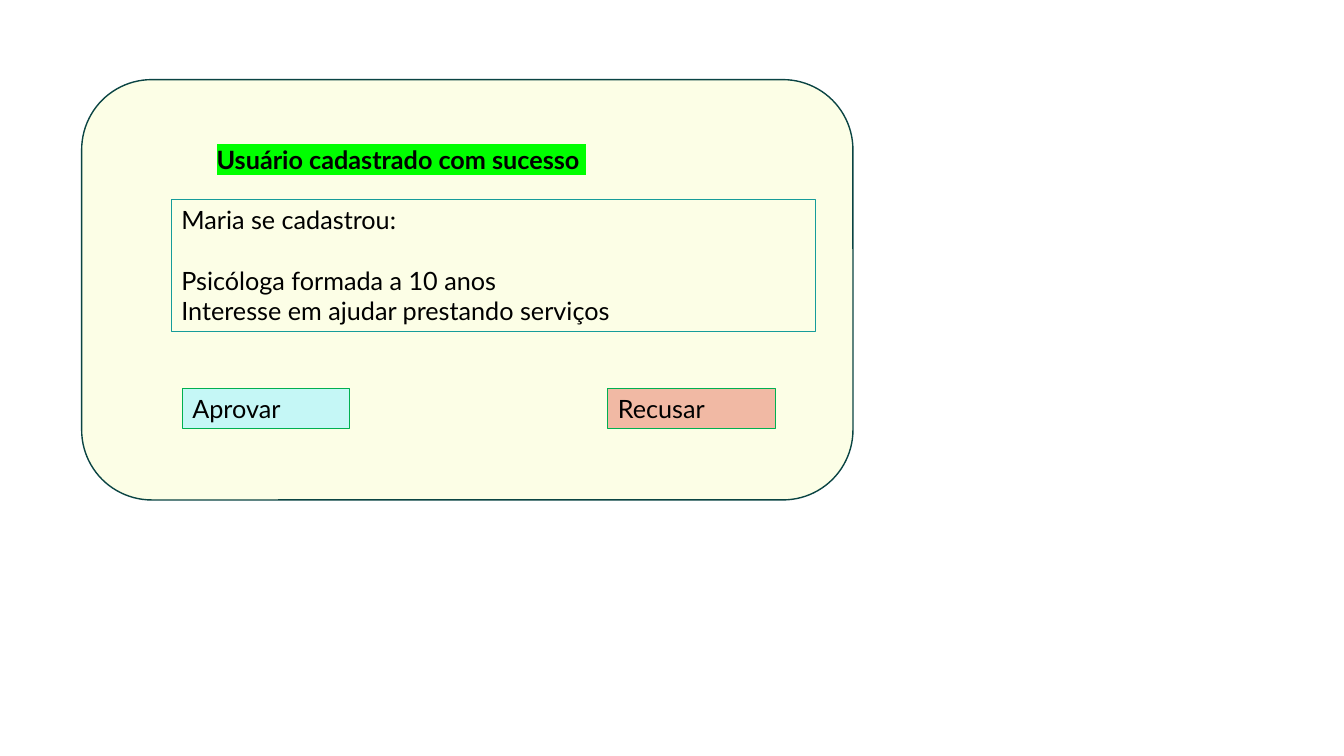
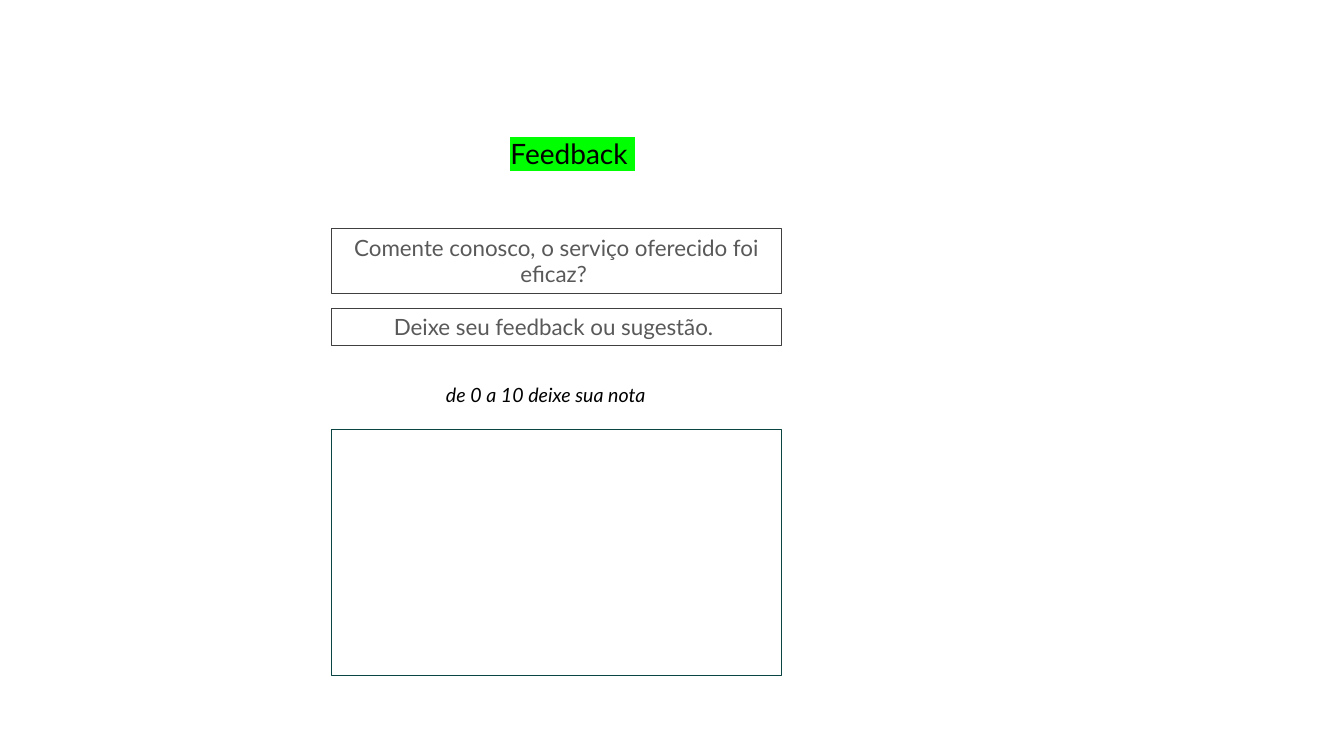
from lxml import etree
from pptx import Presentation
from pptx.dml.color import RGBColor
from pptx.enum.shapes import MSO_SHAPE
from pptx.enum.text import MSO_AUTO_SIZE, PP_ALIGN
from pptx.oxml.ns import qn
from pptx.util import Inches, Pt

FONT = "Lato"
BLACK, GREY, DARK_GREY = "000000", "595959", "404040"
DARK_TEAL, TEAL, GREEN, LIME = "0A4443", "169C9A", "00B050", "00FF00"
CREAM, AQUA, SALMON = "FCFEE6", "C5F7F6", "F1B9A4"


def rgb(value):
    return RGBColor.from_string(value)


def paint(sp, fill=None, line=None, weight=0.75):
    if fill:
        sp.fill.solid()
        sp.fill.fore_color.rgb = rgb(fill)
    else:
        sp.fill.background()
    if line:
        sp.line.color.rgb = rgb(line)
        sp.line.width = Pt(weight)


def add_panel(slide, shape, box, fill=None):
    sp = slide.shapes.add_shape(shape, *map(Inches, box))
    sp.shadow.inherit = False
    paint(sp, fill, DARK_TEAL, 1)


def highlight(run, color):
    """Mark the run; the element has to follow the run's fill."""
    mark = etree.Element(qn("a:highlight"))
    etree.SubElement(mark, qn("a:srgbClr"), val=color)
    run.font._element.find(qn("a:solidFill")).addnext(mark)


def add_text(slide, box, text, size=18, color=BLACK, align=PP_ALIGN.LEFT,
             bold=False, italic=False, mark=None, fill=None, line=None):
    sp = slide.shapes.add_textbox(*map(Inches, box))
    paint(sp, fill, line)
    tf = sp.text_frame
    tf.word_wrap = True
    tf.auto_size = MSO_AUTO_SIZE.SHAPE_TO_FIT_TEXT
    tf.text = text
    for p in tf.paragraphs:
        p.alignment = align
        for r in p.runs:
            r.font.name = FONT
            r.font.size = Pt(size)
            r.font.bold = bold
            r.font.italic = italic
            r.font.color.rgb = rgb(color)
            if mark:
                highlight(r, mark)
    return tf


def add_approval_card(slide, left, top, width, height):
    add_panel(slide, MSO_SHAPE.ROUNDED_RECTANGLE, (left, top, width, height), CREAM)
    add_text(slide, (left + 1.24, top + 0.59, 6.06, 0.4),
             "Usuário cadastrado com sucesso ", bold=True, mark=LIME)
    details = add_text(slide, (left + 0.89, top + 1.19, 6.39, 1.31),
                       "Maria se cadastrou:\nPsicóloga formada a 10 anos\n"
                       "Interesse em ajudar prestando serviços", line=TEAL)
    details.paragraphs[1].space_before = Pt(21.6)
    for i, (label, fill) in enumerate((("Aprovar", AQUA), ("Recusar", SALMON))):
        add_text(slide, (left + 1 + 4.22 * i, top + 3.06, 1.66, 0.4),
                 label, fill=fill, line=GREEN)


def add_feedback_form(slide, left, top, width):
    add_text(slide, (left + 0.39, top, 4, 0.44), "Feedback ", 20,
             align=PP_ALIGN.CENTER, mark=LIME)
    prompts = (
        (0.96, 0.64, "Comente conosco, o serviço oferecido foi eficaz? "),
        (1.75, 0.37, "Deixe seu feedback ou sugestão. "),
    )
    for offset, height, text in prompts:
        add_text(slide, (left, top + offset, width, height), text, 16, GREY,
                 PP_ALIGN.CENTER, line=DARK_GREY)
    add_panel(slide, MSO_SHAPE.RECTANGLE, (left, top + 2.95, width, 2.44))
    add_text(slide, (left + 0.99, top + 2.44, 2.94, 0.34),
             " de 0 a 10 deixe sua nota", 14, italic=True)


def main():
    prs = Presentation()
    prs.slide_width, prs.slide_height = Inches(13.33), Inches(7.5)
    blank = prs.slide_layouts[6]
    add_approval_card(prs.slides.add_slide(blank), 0.81, 0.79, 7.65, 4.17)
    add_feedback_form(prs.slides.add_slide(blank), 3.29, 1.31, 4.46)
    prs.save("out.pptx")


if __name__ == "__main__":
    main()
